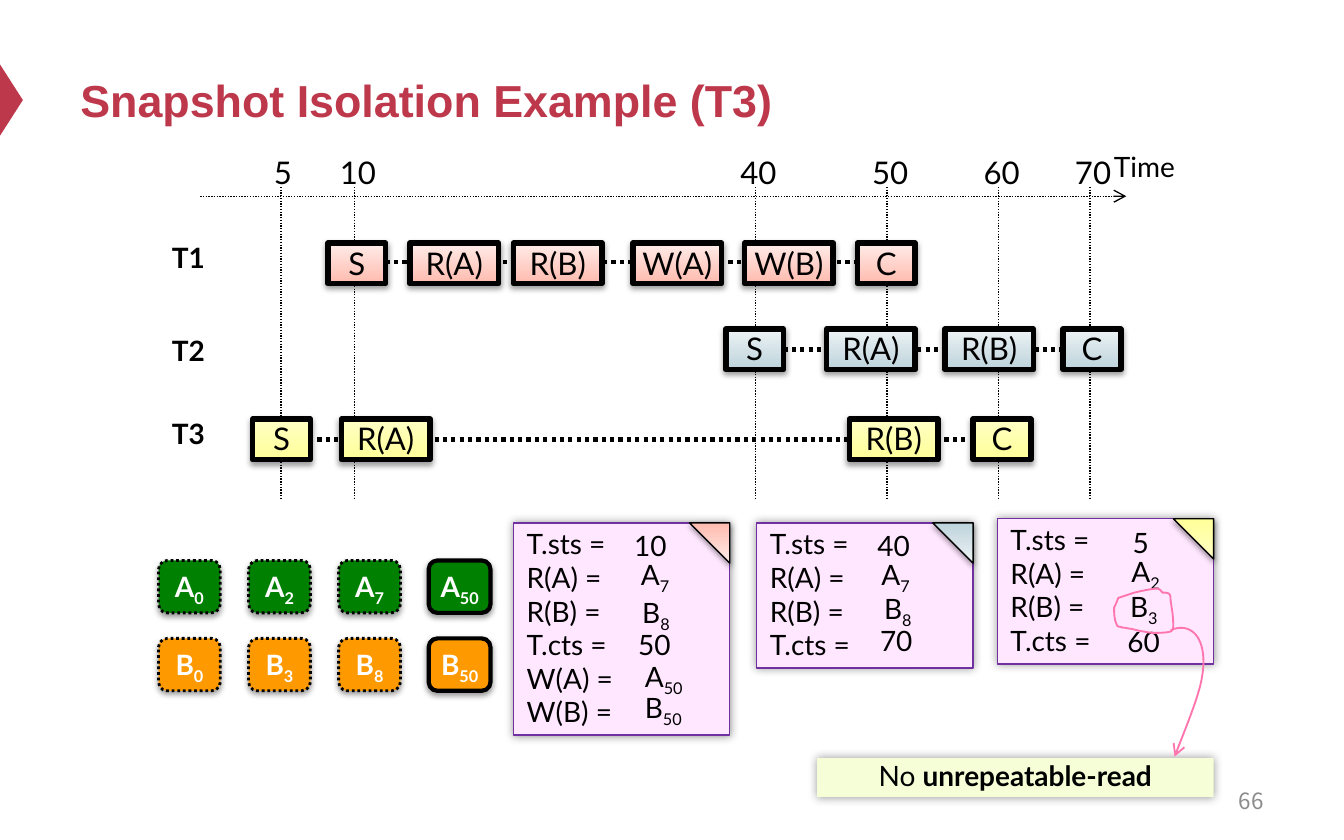
from lxml.etree import SubElement
from pptx import Presentation
from pptx.dml.color import RGBColor
from pptx.enum.dml import MSO_LINE
from pptx.enum.shapes import MSO_CONNECTOR, MSO_SHAPE
from pptx.enum.text import MSO_ANCHOR, PP_ALIGN
from pptx.oxml.ns import qn
from pptx.util import Inches, Pt

HUES = {
    "red": "BE384B", "grey": "8C8C8C", "black": "000000", "white": "FFFFFF",
    "green": "008000", "orange": "FF9900", "pink": "FF75AD", "lilac": "FFE7FF",
    "purple": "7030A0", "lime": "F5FED6",
    "rose": ("FFBBAE", "FFECE9"), "steel": ("BDD3DB", "EDF3F5"),
    "yellow": ("FFFF99", "FFFFC5"),
}
RGB = RGBColor.from_string

deck = Presentation()
deck.slide_width, deck.slide_height = Inches(10), Inches(6.25)
slide = deck.slides.add_slide(deck.slide_layouts[6])
shapes = slide.shapes


def block(kind, at, fill, line=None, width=1, glow=None):
    """Add a preset shape; glow is the shadow's (alpha, blur, distance)."""
    shape = shapes.add_shape(kind, *map(Inches, at))
    hue = HUES[fill]
    if isinstance(hue, tuple):
        shape.fill.gradient()
        shape.fill.gradient_angle = 90
        for stop, tone in zip(shape.fill.gradient_stops, hue):
            stop.color.rgb = RGB(tone)
    else:
        shape.fill.solid()
        shape.fill.fore_color.rgb = RGB(hue)
    if line:
        shape.line.color.rgb = RGB(HUES[line])
        shape.line.width = Pt(width)
    else:
        shape.line.fill.background()
    shape.shadow.inherit = False
    if glow:
        alpha, blur, dist = glow
        cast = SubElement(shape._element.spPr.find(qn("a:effectLst")), qn("a:outerShdw"),
                          blurRad=str(Pt(blur)), dist=str(Pt(dist)),
                          dir="5400000", rotWithShape="0")
        tone = SubElement(cast, qn("a:srgbClr"), val=HUES["black"])
        SubElement(tone, qn("a:alpha"), val=str(alpha * 1000))
    return shape


def write(shape, lines, size=15, hue="black", bold=False, font="Lato", wrap=True,
          align=PP_ALIGN.LEFT, anchor=MSO_ANCHOR.TOP, inset=(0.1, 0.05, 0.1, 0.05), pitch=None):
    """Fill a shape with lines of text; what follows "_" is a subscript."""
    frame = shape.text_frame
    frame.text = "\n".join(lines)
    frame.word_wrap = wrap
    frame.vertical_anchor = anchor
    (frame.margin_left, frame.margin_top,
     frame.margin_right, frame.margin_bottom) = map(Inches, inset)
    for para, line in zip(frame.paragraphs, lines):
        base, _, low = line.partition("_")
        para.runs[0].text = base
        if low:
            run = para.add_run()
            run.text = low
            run._r.get_or_add_rPr().set("baseline", "-25000")
        para.alignment = align
        if pitch:
            para.line_spacing = pitch
        for run in para.runs:
            run.font.name, run.font.size, run.font.bold = font, Pt(size), bold
            run.font.color.rgb = RGB(HUES[hue])


SOFT, HALO = (38, 3.1, 1.6), (40, 5, 0)
MID = {"align": PP_ALIGN.CENTER, "anchor": MSO_ANCHOR.MIDDLE, "wrap": False}

# Title, side mark and page number
block(MSO_SHAPE.ISOSCELES_TRIANGLE, (-0.18, 0.66, 0.53, 0.17), "red").rotation = 90
write(shapes.add_textbox(*map(Inches, (0.5, 0.25, 9, 0.98))), ["Snapshot Isolation Example (T3)"],
      24, "red", True, "Arial", anchor=MSO_ANCHOR.MIDDLE)
write(shapes.add_textbox(*map(Inches, (7.17, 5.79, 2.33, 0.33))), ["66"], 12, "grey",
      font="Noto Sans CJK SC", align=PP_ALIGN.RIGHT, anchor=MSO_ANCHOR.MIDDLE)

# Time ticks, transaction tracks and, last, the time axis
ticks = {"5": 2.09, "10": 2.64, "40": 5.62, "50": 6.6, "60": 7.43, "70": 8.11}
links = [(x, 1.39, x, 3.72, 0.75) for x in ticks.values()]
links += [(2.87, 1.95, 6.38, 1.95, 2.25), (5.83, 2.6, 7.91, 2.6, 2.25),
          (2.3, 3.27, 7.24, 3.27, 2.25), (1.49, 1.46, 8.38, 1.46, 0.75)]
for *ends, width in links:
    axis = shapes.add_connector(MSO_CONNECTOR.STRAIGHT, *map(Inches, ends))
    axis.line.color.rgb = RGB(HUES["black"])
    axis.line.width = Pt(width)
    axis.line.dash_style = MSO_LINE.ROUND_DOT
    SubElement(axis._element.spPr, qn("a:effectLst"))

for time, x in ticks.items():
    left = x - (0.15 if time == "5" else 0.21)
    write(shapes.add_textbox(*map(Inches, (left, 1.09, 0.49, 0.38))), [time], 16.7)
write(shapes.add_textbox(*map(Inches, (8.19, 1.06, 0.8, 0.35))), ["Time"])

# Transactions: name, name top, box top, colour, inset, line pitch, steps
tight = (0.08, 0.03, 0.08, 0)
rows = [
    ("T1", 1.74, 1.81, "rose", (0.1, 0.03, 0.1, 0.03), None,
     [("S", 2.44), ("R(A)", 3.05), ("R(B)", 3.82), ("W(A)", 4.71), ("W(B)", 5.54), ("C", 6.38)]),
    ("T2", 2.43, 2.45, "steel", tight, 0.8,
     [("S", 5.4), ("R(A)", 6.15), ("R(B)", 7.03), ("C", 7.91)]),
    ("T3", 3.05, 3.12, "yellow", tight, 0.8,
     [("S", 1.88), ("R(A)", 2.54), ("R(B)", 6.32), ("C", 7.24)]),
]
for name, high, top, hue, inset, pitch, steps in rows:
    write(shapes.add_textbox(*map(Inches, (1.18, high, 0.49, 0.35))), [name], bold=True)
    for step, x in steps:
        wide = 0.43 if len(step) == 1 else 0.66
        step_box = block(MSO_SHAPE.RECTANGLE, (x, top, wide, 0.3), hue, "black", 3, SOFT)
        write(step_box, [step], 16.7, inset=inset, pitch=pitch, **MID)

# Versions of A and B; the newest has a solid border
for letter, marks, top, hue in [("A", (0, 2, 7, 50), 4.17, "green"),
                                ("B", (0, 3, 8, 50), 4.75, "orange")]:
    for i, mark in enumerate(marks):
        new = mark == 50
        chip = block(MSO_SHAPE.ROUNDED_RECTANGLE, (1.18 + 0.67 * i, top, 0.46, 0.39),
                     hue, "black", 2.25 if new else 1.5, SOFT)
        if not new:
            chip.line.dash_style = MSO_LINE.ROUND_DOT
        write(chip, [f"{letter}_{mark}"], hue="white", bold=True,
              inset=(0, 0.03, 0, 0), pitch=0.8, **MID)

# Snapshot cards: left, top, height, corner colour, values
fields = ["T.sts =", "R(A) =", "R(B) =", "T.cts =", "W(A) =", "W(B) ="]
cards = [
    (3.82, 3.89, 1.58, "rose", [("10", 4.62, 3.88), ("A_7", 4.67, 4.1), ("B_8", 4.68, 4.38),
                                ("50", 4.65, 4.62), ("A_50", 4.7, 4.86), ("B_50", 4.7, 5.09)]),
    (5.63, 3.89, 1.08, "steel", [("40", 6.43, 3.88), ("A_7", 6.46, 4.1),
                                 ("B_8", 6.48, 4.35), ("70", 6.45, 4.59)]),
    (7.42, 3.86, 1.08, "yellow", [("5", 8.33, 3.86), ("A_2", 8.32, 4.08),
                                  ("B_3", 8.31, 4.34), ("60", 8.29, 4.6)]),
]
for left, top, high, hue, values in cards:
    card = block(MSO_SHAPE.RECTANGLE, (left, top, 1.61, high), "lilac", "purple", 0.75, HALO)
    write(card, fields[:len(values)], inset=(0.1, 0.03, 0.1, 0.03))
    block(MSO_SHAPE.RIGHT_TRIANGLE, (left + 1.31, top, 0.3, 0.3),
          hue, "black", 0.75, SOFT).rotation = 180
    for value, x, y in values:
        wide = 0.6 if len(value) > 3 else 0.46
        write(shapes.add_textbox(*map(Inches, (x, y, wide, 0.35))), [value])

# Verdict
note = block(MSO_SHAPE.RECTANGLE, (6.08, 5.64, 2.95, 0.29), "lime", glow=HALO)
write(note, ["No "], align=PP_ALIGN.CENTER, inset=(0.07, 0, 0.07, 0.03))
strong = note.text_frame.paragraphs[0].add_run()
strong.text = "unrepeatable-read"
strong.font.name, strong.font.size, strong.font.bold = "Lato", Pt(15), True
strong.font.color.rgb = RGB(HUES["black"])

# Hand-drawn ring and arc: Bezier points, three per curve after the start
ring = [(8.32, 4.45), (8.31, 4.48), (8.3, 4.5), (8.29, 4.52), (8.29, 4.57), (8.29, 4.61),
        (8.31, 4.65), (8.31, 4.67), (8.34, 4.66), (8.35, 4.67), (8.38, 4.67), (8.4, 4.68),
        (8.42, 4.68), (8.55, 4.71), (8.4, 4.68), (8.57, 4.71), (8.62, 4.71), (8.67, 4.71),
        (8.71, 4.7), (8.73, 4.69), (8.73, 4.67), (8.73, 4.65), (8.73, 4.59), (8.72, 4.53),
        (8.71, 4.47), (8.71, 4.45), (8.71, 4.43), (8.7, 4.42), (8.69, 4.41), (8.67, 4.41),
        (8.65, 4.41), (8.64, 4.4), (8.63, 4.38), (8.61, 4.38), (8.57, 4.38), (8.48, 4.4),
        (8.44, 4.41), (8.41, 4.42), (8.38, 4.43), (8.35, 4.44)]
bend = [(8.71, 4.69), (8.8, 4.65), (8.87, 4.68), (8.91, 4.74), (8.95, 4.8), (8.97, 4.91),
        (8.94, 5.06), (8.91, 5.21), (8.82, 5.42), (8.74, 5.63)]
for points, close, count in [(ring, True, 4), (bend, False, 10)]:
    trail = []
    for i in range(0, len(points) - 1, 3):
        for t in (n / count for n in range(1, count + 1)):
            mix = ((1 - t) ** 3, 3 * t * (1 - t) ** 2, 3 * t * t * (1 - t), t ** 3)
            trail.append([Inches(sum(m * p[side] for m, p in zip(mix, points[i:i + 4])))
                          for side in (0, 1)])
    pen = shapes.build_freeform(*map(Inches, points[0]))
    pen.add_line_segments(trail, close=close)
    arc = pen.convert_to_shape()
    arc.fill.background()
    arc.line.color.rgb = RGB(HUES["pink"])
    arc.line.width = Pt(1)
    arc.shadow.inherit = False

for shape in (axis, arc):
    SubElement(shape._element.spPr.find(qn("a:ln")), qn("a:tailEnd"), type="arrow")

deck.save("out.pptx")
